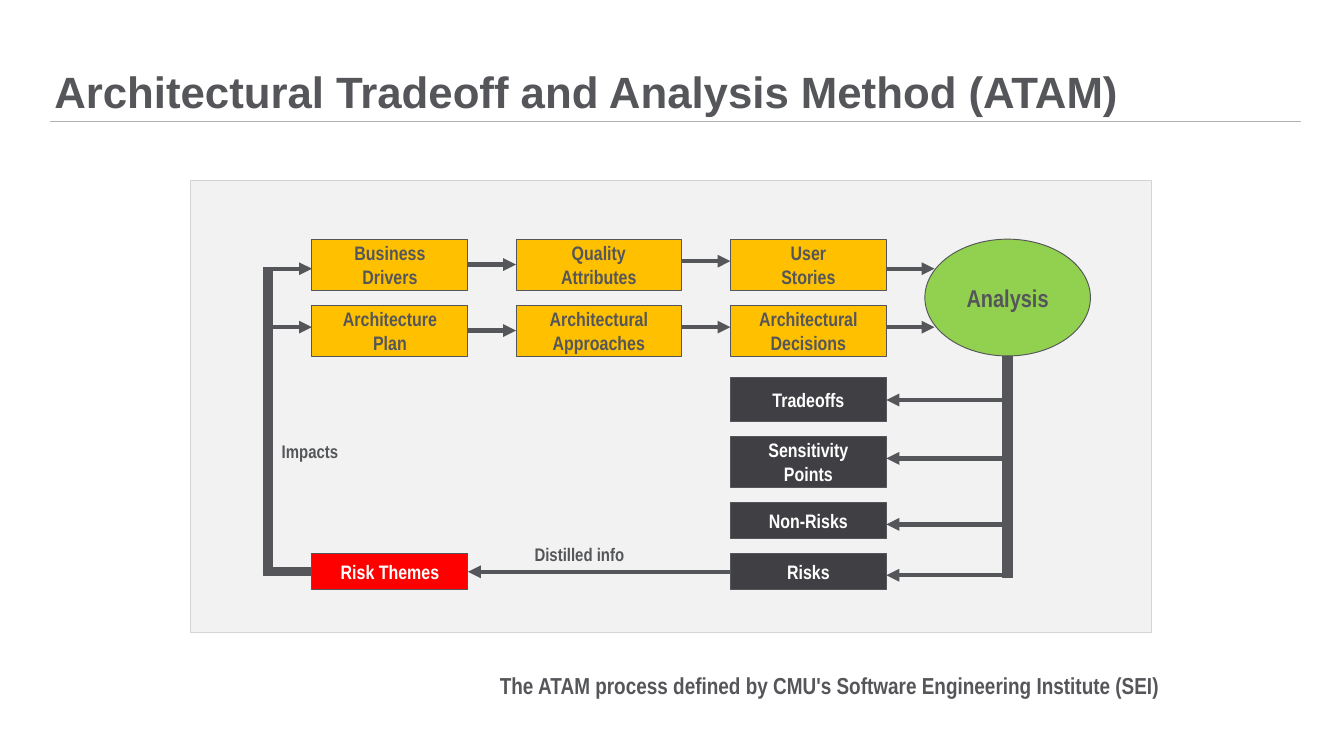
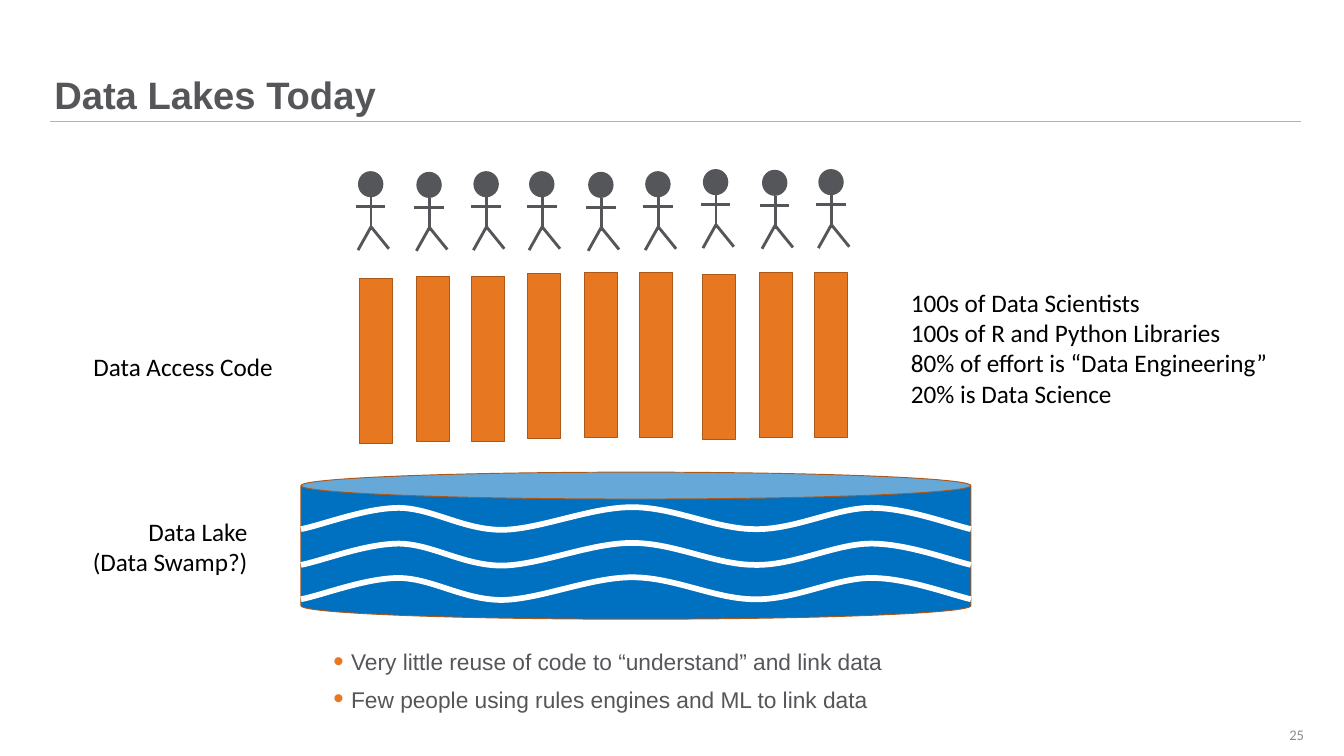
"""Build two slides: the ATAM process diagram and the state of data lakes."""
from dataclasses import dataclass
from typing import NamedTuple, Optional

from lxml.etree import SubElement
from pptx import Presentation
from pptx.dml.color import RGBColor as RGB
from pptx.enum.shapes import MSO_CONNECTOR as Conn, MSO_SHAPE as Geo
from pptx.enum.text import MSO_ANCHOR as Anchor, MSO_AUTO_SIZE as Auto, PP_ALIGN as Align
from pptx.oxml.ns import qn
from pptx.util import Inches, Pt

TITLE_ONLY = 5
SLIDE_COLS, SLIDE_ROWS = 19.56, 11


@dataclass(frozen=True)
class Theme:
    ink: str = "55565A"
    rule: str = "B1B3B3"
    panel: str = "F2F2F2"
    panel_edge: str = "D4D4D6"
    amber: str = "FFC000"
    green: str = "92D050"
    dark: str = "404044"
    red: str = "FF0000"
    white: str = "FFFFFF"
    black: str = "000000"
    muted: str = "8C8C8C"
    orange: str = "E87722"
    rust: str = "AC5819"
    water: str = "0070C0"
    head: str = "Arial"
    narrow: str = "Arial Narrow"
    plain: str = "Calibri"
    thin: float = 1
    limb: float = 3
    arrow: float = 4.5
    wave: float = 6


T = Theme()


class Box(NamedTuple):
    col: float
    row: float
    cols: float
    rows: float

    def emu(self) -> list:
        return [Inches(v) for v in self]


class Point(NamedTuple):
    col: float
    row: float


class Font(NamedTuple):
    name: str
    size: float
    color: str
    bold: bool = False


@dataclass(frozen=True)
class Text:
    body: str
    font: Font
    align: Align = Align.CENTER
    anchor: Anchor = Anchor.MIDDLE
    pad: tuple = (0.13, 0.06)
    wrap: bool = True


@dataclass(frozen=True)
class Node:
    box: Box
    fill: str
    text: Optional[Text] = None
    geo: Geo = Geo.RECTANGLE
    edge: Optional[str] = T.ink


@dataclass(frozen=True)
class Scientist:
    axis: float
    head: float
    bar_col: float
    bar_row: float


STEP = Font(T.narrow, 20.4, T.ink, True)
RESULT = STEP._replace(color=T.white)
NOTE = STEP._replace(size=19.1)
CAPTION = STEP._replace(size=24.2)
LABEL = Font(T.plain, 26.4, T.black)
BULLET = Font(T.head, 23.8, T.ink)


def add_run(p, text: str, font: Font) -> None:
    r = p.add_run()
    r.text = text
    r.font.name, r.font.size, r.font.bold = font.name, Pt(font.size), font.bold
    r.font.color.rgb = RGB.from_string(font.color)


def write(tf, text: Text) -> list:
    tf.word_wrap, tf.vertical_anchor = text.wrap, text.anchor
    tf.margin_left = tf.margin_right = Inches(text.pad[0])
    tf.margin_top = tf.margin_bottom = Inches(text.pad[1])
    for i, line in enumerate(text.body.split("\n")):
        p = tf.add_paragraph() if i else tf.paragraphs[0]
        p.alignment = text.align
        for j, part in enumerate(line.split("\v")):
            if j:
                p.add_line_break()
            add_run(p, part, text.font)
    return list(tf.paragraphs)


def hang(p, indent: float):
    p_pr = p._p.get_or_add_pPr()
    p_pr.set("marL", str(Inches(indent)))
    p_pr.set("indent", str(-Inches(indent)))
    return p_pr


def paint(s, fill: str, edge: Optional[str], width: float) -> None:
    s.shadow.inherit = False
    s.fill.solid()
    s.fill.fore_color.rgb = RGB.from_string(fill)
    if edge is None:
        s.line.fill.background()
    else:
        s.line.color.rgb = RGB.from_string(edge)
        s.line.width = Pt(width)


def add_node(shapes, node: Node):
    s = shapes.add_shape(node.geo, *node.box.emu())
    paint(s, node.fill, node.edge, T.thin)
    if node.text:
        write(s.text_frame, node.text)
    return s


def add_text(shapes, box: Box, text: Text) -> list:
    tf = shapes.add_textbox(*box.emu()).text_frame
    paragraphs = write(tf, text)
    tf.auto_size = Auto.NONE if text.wrap else Auto.SHAPE_TO_FIT_TEXT
    return paragraphs


def add_line(shapes, start: Point, end: Point, width: float,
             color: str = T.ink, arrow: bool = False):
    c = shapes.add_connector(Conn.STRAIGHT, *[Inches(v) for v in (*start, *end)])
    c.line.color.rgb = RGB.from_string(color)
    c.line.width = Pt(width)
    sp_pr = c.element.spPr
    if arrow:
        SubElement(sp_pr.find(qn("a:ln")), qn("a:tailEnd"), type="triangle")
    SubElement(sp_pr, qn("a:effectLst"))
    return c


def add_arrow(shapes, start: float, end: float, row: float) -> None:
    add_line(shapes, Point(start, row), Point(end, row), T.arrow, arrow=True)


def new_slide(prs, title: str, size: float):
    slide = prs.slides.add_slide(prs.slide_layouts[TITLE_ONLY])
    s = slide.shapes.title
    s.left, s.top, s.width, s.height = Box(0.79, 0, 18.15, 1.72).emu()
    text = Text(title, Font(T.head, size, T.ink, True), Align.LEFT, Anchor.BOTTOM, (0, 0))
    write(s.text_frame, text)[0].line_spacing = 0.9
    s.text_frame.auto_size = Auto.NONE
    return slide.shapes


def add_master_rule(prs, shapes) -> None:
    rule = add_line(shapes, Point(0.73, 1.77), Point(18.94, 1.77), T.thin, T.rule).element
    rule.nvCxnSpPr.cNvPr.set("id", "99")
    prs.slide_master.shapes.element.append(rule)


STAGES = [(4.54, 2.27), (7.51, 2.41), (10.63, 2.27)]
STAGE_ENDS = [col + cols for col, cols in STAGES]
STEP_ROWS = [
    (3.48, ("Business\nDrivers", "Quality\nAttributes", "User\nStories"), (3.85, 3.8, 3.91)),
    (4.44, ("Architecture\vPlan", "Architectural\nApproaches", "Architectural\nDecisions"),
     (4.81, 4.76, 4.76)),
]
RESULTS = [
    ("Tradeoffs", 5.5, 0.64, 5.82),
    ("Sensitivity\nPoints", 6.35, 0.74, 6.67),
    ("Non-Risks", 7.31, 0.53, 7.63),
    ("Risks", 8.05, 0.53, 8.37),
]
SPINE, LOOP, THICK = 14.59, 3.83, 0.14


def build_atam(prs) -> None:
    shapes = new_slide(prs, "Architectural Tradeoff and Analysis Method (ATAM)", 45.9)
    add_master_rule(prs, shapes)
    add_node(shapes, Node(Box(2.77, 2.62, 13.99, 6.58), T.panel, edge=T.panel_edge))
    analysis = Text("Analysis", STEP._replace(size=25.5), pad=(0, 0.06))
    add_node(shapes, Node(Box(13.46, 3.48, 2.41, 1.7), T.green, analysis, Geo.OVAL))

    targets = [col for col, _ in STAGES[1:]] + [13.6]
    for row, names, arrow_rows in STEP_ROWS:
        for name, (col, cols) in zip(names, STAGES):
            add_node(shapes, Node(Box(col, row, cols, 0.74), T.amber, Text(name, STEP)))
        for start, end, arrow_row in zip(STAGE_ENDS, targets, arrow_rows):
            add_arrow(shapes, start, end, arrow_row)

    first, last = STAGES[0], STAGES[-1]
    add_node(shapes, Node(Box(SPINE, 5.18, THICK, 3.23), T.ink))
    for name, row, rows, arrow_row in RESULTS:
        add_node(shapes, Node(Box(last[0], row, last[1], rows), T.dark, Text(name, RESULT)))
        add_arrow(shapes, SPINE, STAGE_ENDS[-1], arrow_row)
    add_node(shapes, Node(Box(first[0], 8.05, first[1], 0.53), T.red,
                          Text("Risk Themes", RESULT)))
    add_arrow(shapes, last[0], STAGE_ENDS[0], 8.32)

    for row in (4.76, 3.91):
        add_arrow(shapes, LOOP, first[0], row)
    add_node(shapes, Node(Box(LOOP, 3.91, THICK, 4.36), T.ink))
    add_node(shapes, Node(Box(LOOP, 8.26, 0.71, 0.11), T.ink))
    for note, box in (("Distilled info", Box(7.65, 7.84, 1.58, 0.45)),
                      ("Impacts", Box(3.97, 6.35, 1.09, 0.45))):
        add_text(shapes, box, Text(note, NOTE, Align.LEFT, Anchor.TOP, wrap=False))
    caption = add_text(shapes, Box(7.08, 9.7, 9.99, 0.54), Text(
        "The ATAM process defined by CMU's Software Engineering Institute (SEI)",
        CAPTION, wrap=False))
    hang(caption[0], 0.48)


SCIENTISTS = [
    Scientist(5.4, 2.49, 5.23, 4.05), Scientist(6.25, 2.5, 6.06, 4.02),
    Scientist(7.08, 2.49, 6.86, 4.02), Scientist(7.89, 2.49, 7.67, 3.98),
    Scientist(8.75, 2.5, 8.51, 3.96), Scientist(9.58, 2.49, 9.31, 3.96),
    Scientist(10.42, 2.46, 10.22, 3.99), Scientist(11.28, 2.47, 11.05, 3.97),
    Scientist(12.1, 2.46, 11.86, 3.97),
]
LIMBS = [
    (Point(0, 0.38), Point(0, 0.86)), (Point(-0.22, 0.52), Point(0.21, 0.52)),
    (Point(-0.19, 1.15), Point(0, 0.81)), (Point(0.26, 1.13), Point(0, 0.81)),
]
LAKE = Box(4.38, 6.87, 9.75, 2.14)
WAVE_ROWS = (7.38, 7.9, 8.4)
WAVE = [Point(*xy) for xy in (
    (0, 0.32), (0.31, 0.26), (0.94, 0.01), (1.43, 0.01), (1.92, 0.02), (2.36, 0.33),
    (2.93, 0.33), (3.49, 0.32), (4.21, 0), (4.82, 0), (5.44, 0), (6.03, 0.32),
    (6.61, 0.32), (7.19, 0.33), (7.78, 0.01), (8.3, 0.01), (8.82, 0.01), (9.45, 0.25),
    (9.75, 0.32))]


def add_wave(shapes, row: float) -> None:
    points = [(Inches(LAKE.col + p.col), Inches(row + p.row)) for p in WAVE]
    outline = shapes.build_freeform(*points[0])
    outline.add_line_segments(points[1:], close=False)
    s = outline.convert_to_shape()
    paint(s, T.water, T.white, T.wave)
    route = s.element.find(f".//{qn('a:path')}")
    segments = route.findall(qn("a:lnTo"))
    for i in range(0, len(segments), 3):
        curve = SubElement(route, qn("a:cubicBezTo"))
        for segment in segments[i:i + 3]:
            curve.append(segment[0])
            route.remove(segment)


def add_scientist(shapes, who: Scientist) -> None:
    add_node(shapes, Node(Box(who.axis - 0.19, who.head, 0.37, 0.38), T.ink,
                          geo=Geo.OVAL, edge=None))
    for limb in LIMBS:
        start, end = (Point(who.axis + p.col, who.head + p.row) for p in limb)
        add_line(shapes, start, end, T.limb)
    add_node(shapes, Node(Box(who.bar_col, who.bar_row, 0.48, 2.4), T.orange, edge=T.rust))


def add_bullets(shapes, box: Box, body: str) -> None:
    paragraphs = add_text(shapes, box, Text(body, BULLET, Align.LEFT, Anchor.TOP, (0, 0)))
    for i, p in enumerate(paragraphs):
        p.line_spacing, p.space_after = 0.75, Pt(7.7)
        p.space_before = Pt(10.2 if i else 0)
        p_pr = hang(p, 0.26)
        SubElement(SubElement(p_pr, qn("a:buClr")), qn("a:srgbClr"), val=T.orange)
        SubElement(p_pr, qn("a:buSzPct"), val="130000")
        SubElement(p_pr, qn("a:buFont"), typeface=T.head)
        SubElement(p_pr, qn("a:buChar"), char="•")


def build_lakes(prs) -> None:
    shapes = new_slide(prs, "Data Lakes Today", 40)
    add_text(shapes, Box(18, 10.4, 0.98, 0.59),
             Text("25", Font(T.plain, 15.3, T.muted), Align.RIGHT, pad=(0, 0)))
    add_bullets(shapes, Box(4.85, 9.52, 9.08, 0.88),
                "Very little reuse of code to “understand” and link data\n"
                "Few people using rules engines and ML to link data")
    lake = shapes.add_group_shape().shapes
    add_node(lake, Node(LAKE, T.water, geo=Geo.CAN, edge=T.rust)).adjustments[0] = 0.183
    for row in WAVE_ROWS:
        add_wave(lake, row)
    for who in SCIENTISTS:
        add_scientist(shapes, who)
    facts = ("100s of Data Scientists\n100s of R and Python Libraries\n"
             "80% of effort is “Data Engineering”\n20% is Data Science")
    for body, box, align in (
            ("Data Lake\n(Data Swamp?)", Box(1.22, 7.46, 2.48, 0.99), Align.RIGHT),
            (facts, Box(13.16, 4.13, 5.44, 1.88), Align.LEFT),
            ("Data Access Code", Box(1.23, 5.06, 2.84, 0.55), Align.RIGHT)):
        add_text(shapes, box, Text(body, LABEL, align, Anchor.TOP, (0.1, 0.05), False))


def main() -> None:
    prs = Presentation()
    prs.slide_width, prs.slide_height = Inches(SLIDE_COLS), Inches(SLIDE_ROWS)
    build_atam(prs)
    build_lakes(prs)
    prs.save("out.pptx")


if __name__ == "__main__":
    main()
